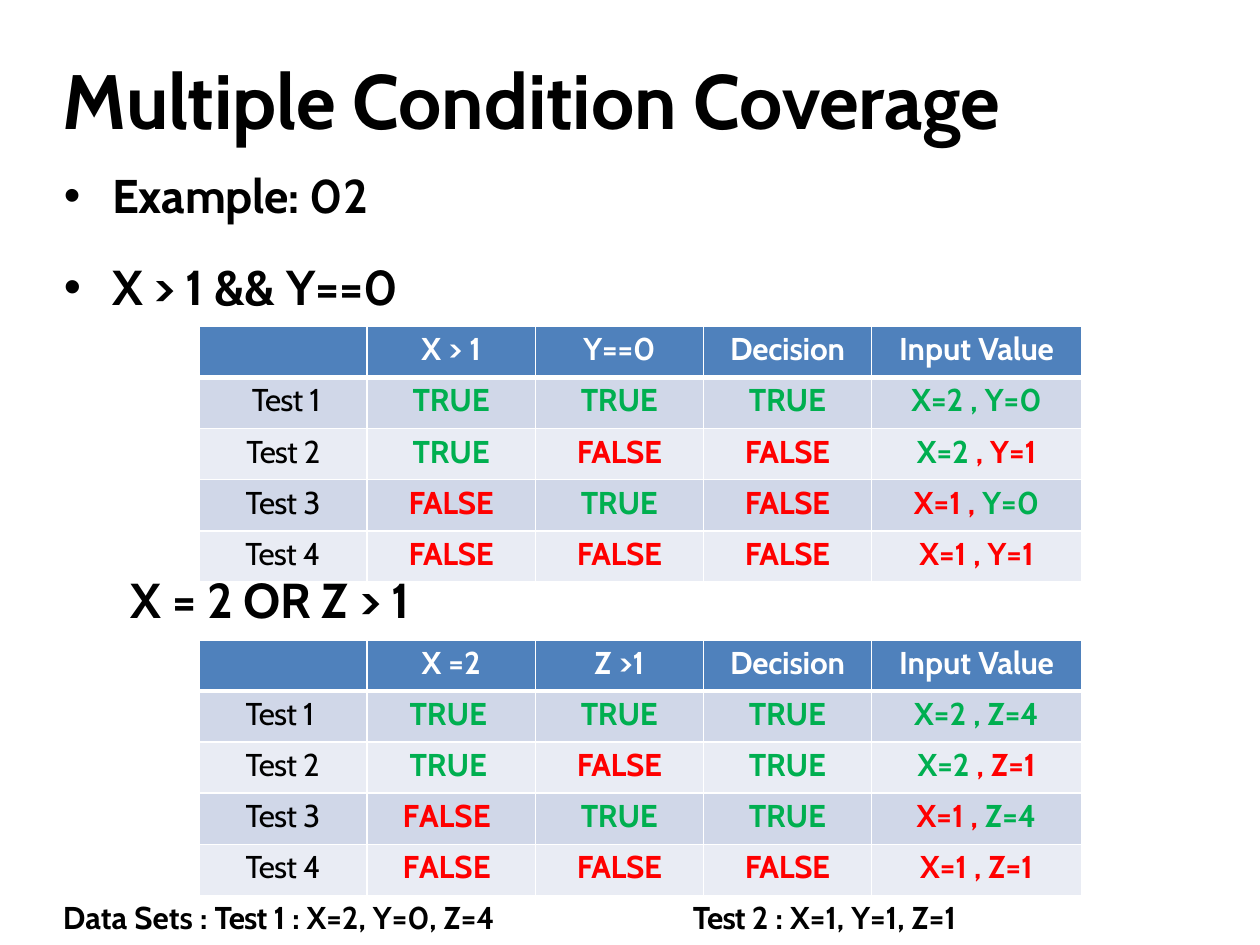
from lxml import etree
from pptx import Presentation, util as u
from pptx.dml import color
from pptx.enum import text
from pptx.oxml import ns

LEFT, MID, RIGHT = text.PP_ALIGN.LEFT, text.PP_ALIGN.CENTER, text.PP_ALIGN.RIGHT
GREEN, RED = "00AF50", "FF0000"
GOOD = ("TRUE", "TR", "UE", "X=2", "Y=0", "Z=4")
TIGHT = {"Test ": -50, "TRUE": -10, "TR": -10, "FALSE": -20, "F": -90,
         "Decision": -10, "Value": -20}


def rgb(code):
    return color.RGBColor.from_string(code)


def tint(part):
    return GREEN if part.startswith(GOOD) else RED


class Deck:
    font = "Cabin"
    head = "4F81BC"
    bands = ("D0D7E8", "E9ECF4")
    line = "FFFFFF"

    def __init__(self):
        self.show = Presentation()
        self.show.slide_width, self.show.slide_height = u.Cm(25.4), u.Cm(19.05)
        self.slide = self.show.slides.add_slide(self.show.slide_layouts[6])

    def runs(self, para, words, size, ink, bold=True, space=0):
        for part in words.split("|"):
            run = para.add_run()
            run.text = part
            face = run.font
            face.name, face.size, face.bold = self.font, u.Pt(size), bold
            face.color.rgb = rgb(ink(part) if callable(ink) else ink)
            run._r.get_or_add_rPr().set("spc", str(TIGHT.get(part, space)))

    def box(self, left, top, wide, high, lines, inset=0.03, before=1, bullet=False):
        frame = self.slide.shapes.add_textbox(
            u.Cm(left), u.Cm(top), u.Cm(wide), u.Cm(high)).text_frame
        frame.word_wrap = True
        frame.margin_left = frame.margin_right = frame.margin_bottom = 0
        frame.margin_top = u.Cm(inset)
        for num, (words, size, space) in enumerate(lines):
            para = frame.add_paragraph() if num else frame.paragraphs[0]
            para.space_before = u.Pt(before)
            self.runs(para, words, size, "000000", space=space)
            if bullet:
                self.bullet(para)

    def bullet(self, para):
        props = para._p.get_or_add_pPr()
        props.set("marL", str(u.Cm(0.99)))
        props.set("indent", str(u.Cm(-0.97)))
        etree.SubElement(props, ns.qn("a:buFont")).set("typeface", "Arial")
        etree.SubElement(props, ns.qn("a:buChar")).set("char", "•")

    def edge(self, cell, side, width):
        props = cell._tc.get_or_add_tcPr()
        line = etree.SubElement(props, ns.qn("a:ln" + side), w=str(u.Pt(width)))
        fill = etree.SubElement(line, ns.qn("a:solidFill"))
        etree.SubElement(fill, ns.qn("a:srgbClr")).set("val", self.line)

    def cell(self, cell, words, row, ink, bold, align, pad):
        cell.margin_left = u.Cm(pad if align == LEFT else 0)
        cell.margin_right = u.Cm(pad if align == RIGHT else 0)
        cell.margin_top, cell.margin_bottom = u.Cm(0.08), 0
        for side in "LRTB":
            thick = (row, side) in ((0, "B"), (1, "T"))
            self.edge(cell, side, 3 if thick else 1)
        cell.fill.solid()
        cell.fill.fore_color.rgb = rgb(self.bands[(row - 1) % 2] if row else self.head)
        para = cell.text_frame.paragraphs[0]
        para.alignment, para.space_before = align, u.Pt(2.5)
        if words:
            self.runs(para, words, 18, ink, bold)

    def table(self, top, rows, name, first=None):
        widths = [3.39] * 4 + [4.23]
        high = 1.03
        grid = self.slide.shapes.add_table(
            len(rows), len(widths), u.Cm(4.01), u.Cm(top),
            u.Cm(sum(widths)), u.Cm(high * len(rows))).table
        for col, wide in zip(grid.columns, widths):
            col.width = u.Cm(wide)
        for r, row in enumerate(rows):
            grid.rows[r].height = u.Cm(high)
            for c, words in enumerate(row):
                align, pad = MID, 0
                if r and c == 0:
                    align, pad = name, 0.94
                elif first and c == 1:
                    align, pad = RIGHT, first[r]
                ink = "FFFFFF" if r == 0 else tint if c else "000000"
                self.cell(grid.cell(r, c), words, r, ink, r == 0 or c > 0, align, pad)


def main():
    deck = Deck()
    deck.box(1.27, 1.02, 23.06, 1.93, [("Multiple Condition Coverage", 44, -12)])
    deck.box(1.27, 2.67, 23.06, 3.71,
             [("Example: 02", 27, -10), ("X > 1 && Y==0", 28, -10)],
             inset=0.69, before=19.1, bullet=True)
    deck.table(6.58, [
        ("", "X > 1", "Y==0", "Decision", "Input |Value"),
        ("Test |1", "TRUE", "TRUE", "TRUE", "X=2 , Y=0"),
        ("Test |2", "TRUE", "FALSE", "FALSE", "X=2 |, Y=1"),
        ("Test |3", "FALSE", "TRUE", "FALSE", "X=1 , |Y=0"),
        ("Test |4", "FALSE", "FALSE", "FALSE", "X=1 , Y=1"),
    ], RIGHT)
    deck.box(1.27, 18.08, 11.76, 0.81, [("Data Sets : |Test |1 : X=2, Y=0, Z=4", 18, 0)])
    deck.box(13.97, 18.08, 9.09, 0.81, [("Test |2 : X=1, Y=1, Z=1", 18, 0)])
    deck.table(12.9, [
        ("", "X =2", "Z >1", "Decision", "Input |Value"),
        ("Test |1", "TR|UE", "TRUE", "TRUE", "X=2 , Z=4"),
        ("Test |2", "TR|UE", "FALSE", "TRUE", "X=2 |, Z=1"),
        ("Test |3", "F|ALSE", "TRUE", "TRUE", "X=1 , |Z=4"),
        ("Test |4", "F|ALSE", "FALSE", "FALSE", "X=1 , Z=1"),
    ], LEFT, (1.1, 0.97, 0.97, 0.9, 0.9))
    deck.box(2.64, 11.46, 8.99, 1.24, [("X = 2 OR Z > 1", 28, -10)])
    deck.show.save("out.pptx")


if __name__ == "__main__":
    main()
